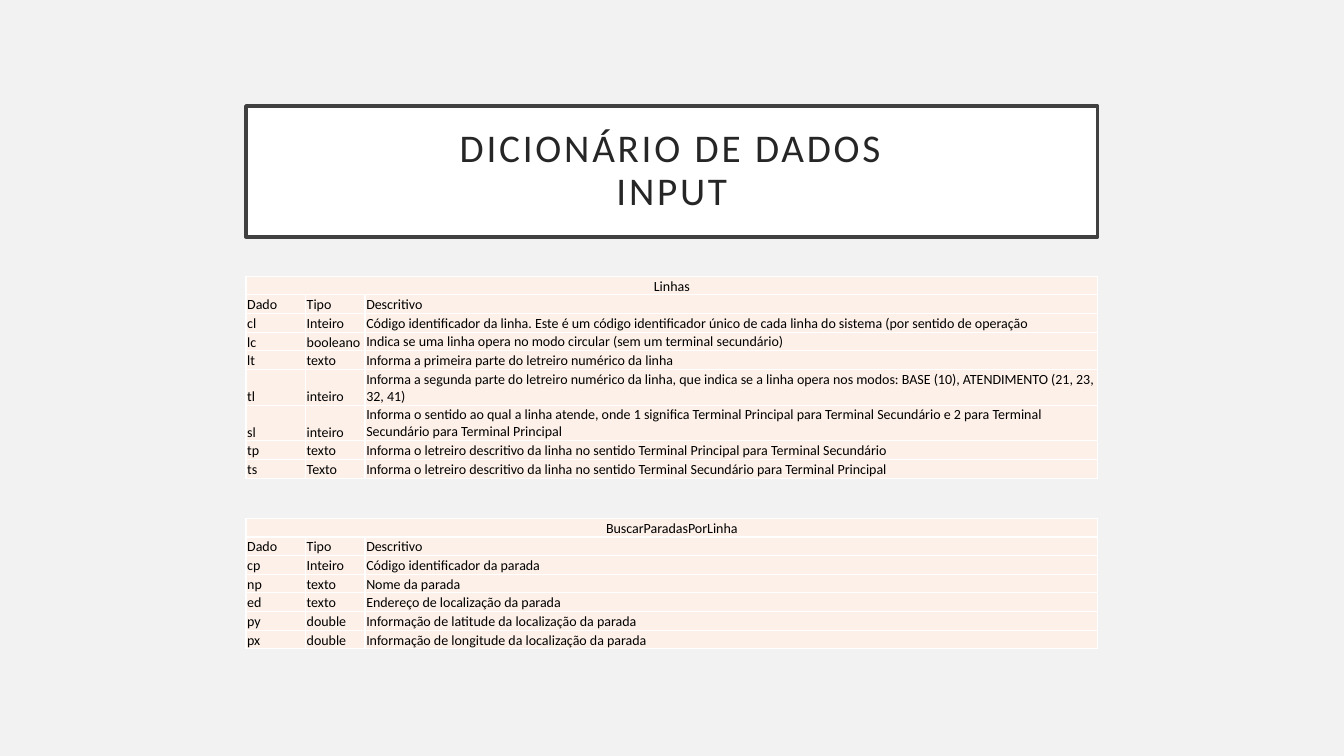
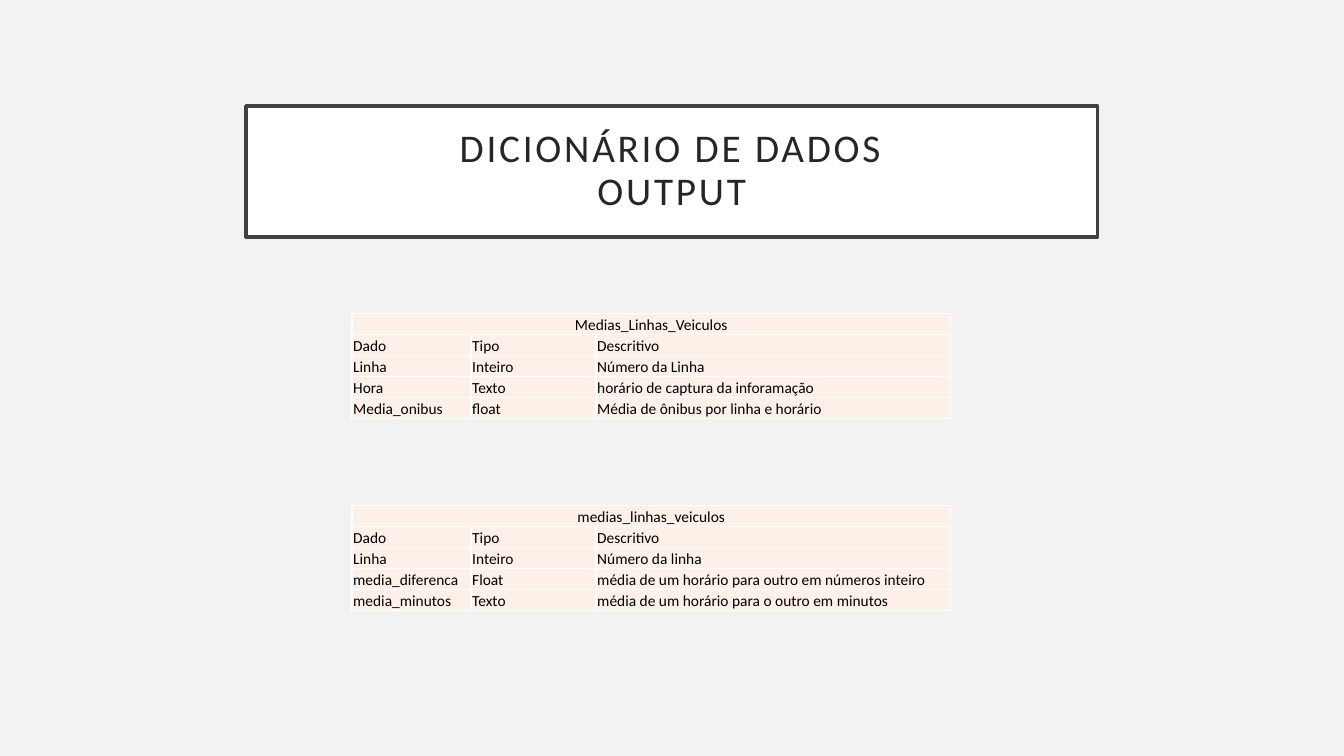
"""Build two data dictionary slides, each with a framed title and two tables."""
from lxml import etree
from pptx import Presentation
from pptx.dml.color import RGBColor
from pptx.enum import text
from pptx.oxml import ns
from pptx.util import Cm, Pt

GREY = RGBColor(0xF2, 0xF2, 0xF2)
WHITE = RGBColor(0xFF, 0xFF, 0xFF)
FRAME = RGBColor(0x40, 0x40, 0x40)
INK = RGBColor(0x26, 0x26, 0x26)
BLACK = RGBColor(0, 0, 0)
PEACH = RGBColor(0xFD, 0xF0, 0xE8)

FONT = "Calibri"
TITLE_BOX = {"left": Cm(6.2), "top": Cm(2.67), "width": Cm(21.46), "height": Cm(3.3)}
TITLE_FRAME = {
    "margin_left": Cm(0.5), "margin_right": Cm(0.5),
    "margin_top": Cm(0.5), "margin_bottom": Cm(0.5),
    "vertical_anchor": text.MSO_ANCHOR.MIDDLE,
    "auto_size": text.MSO_AUTO_SIZE.NONE, "word_wrap": True,
}
TITLE_PARA = {"alignment": text.PP_ALIGN.CENTER, "line_spacing": 0.9}
CELL_FORMAT = {
    "margin_left": Cm(0.03), "margin_right": Cm(0.03),
    "margin_top": Cm(0.03), "margin_bottom": 0,
    "vertical_anchor": text.MSO_ANCHOR.BOTTOM,
}
HEADINGS = ("Dado", "Tipo", "Descritivo")

SLIDES = [
    {
        "title": "INPUT", "left": 6.2, "columns": (1.5, 1.5, 18.46),
        "row": 0.47, "size": 10,
        "tables": [
            {
                "name": "Linhas", "top": 6.96, "tall": {"tl", "sl"},
                "anchor": text.MSO_ANCHOR.MIDDLE,
                "fields": [
                    ("cl", "Inteiro", "Código identificador da linha. Este é um código identificador "
                     "único de cada linha do sistema (por sentido de operação"),
                    ("lc", "booleano", "Indica se uma linha opera no modo circular "
                     "(sem um terminal secundário)"),
                    ("lt", "texto", "Informa a primeira parte do letreiro numérico da linha"),
                    ("tl", "inteiro", "Informa a segunda parte do letreiro numérico da linha, que indica "
                     "se a linha opera nos modos: BASE (10), ATENDIMENTO (21, 23, 32, 41)"),
                    ("sl", "inteiro", "Informa o sentido ao qual a linha atende, onde 1 significa "
                     "Terminal Principal para Terminal Secundário e 2 para Terminal Secundário "
                     "para Terminal Principal"),
                    ("tp", "texto", "Informa o letreiro descritivo da linha no sentido "
                     "Terminal Principal para Terminal Secundário"),
                    ("ts", "Texto", "Informa o letreiro descritivo da linha no sentido "
                     "Terminal Secundário para Terminal Principal"),
                ],
            },
            {
                "name": "BuscarParadasPorLinha", "top": 13.06,
                "fields": [
                    ("cp", "Inteiro", "Código identificador da parada"),
                    ("np", "texto", "Nome da parada"),
                    ("ed", "texto", "Endereço de localização da parada"),
                    ("py", "double", "Informação de latitude da localização da parada"),
                    ("px", "double", "Informação de longitude da localização da parada"),
                ],
            },
        ],
    },
    {
        "title": "OUTPUT", "left": 8.87, "columns": (3, 3.15, 8.94),
        "row": 0.53, "size": 11,
        "tables": [
            {
                "name": "Medias_Linhas_Veiculos", "top": 7.9,
                "fields": [
                    ("Linha", "Inteiro", "Número da Linha"),
                    ("Hora", "Texto", "horário de captura da inforamação"),
                    ("Media_onibus", "float", "Média de ônibus por linha e horário"),
                ],
            },
            {
                "name": "medias_linhas_veiculos", "top": 12.73,
                "fields": [
                    ("Linha", "Inteiro", "Número da linha"),
                    ("media_diferenca", "Float", "média de um horário para outro em números inteiro"),
                    ("media_minutos", "Texto", "média de um horário para o outro em minutos"),
                ],
            },
        ],
    },
]


def apply_format(target, values):
    for name, value in values.items():
        setattr(target, name, value)


def add_borders(cell):
    properties = cell._tc.get_or_add_tcPr()
    for side in ("a:lnL", "a:lnR", "a:lnT", "a:lnB"):
        line = etree.SubElement(properties, ns.qn(side), w=str(Pt(1)))
        fill = etree.SubElement(line, ns.qn("a:solidFill"))
        etree.SubElement(fill, ns.qn("a:srgbClr"), val=str(WHITE))


deck = Presentation()
deck.slide_width, deck.slide_height = Cm(33.87), Cm(19.05)
background = deck.slide_master.background.fill
background.solid()
background.fore_color.rgb = GREY

for content in SLIDES:
    page = deck.slides.add_slide(deck.slide_layouts.get_by_name("Title Only"))
    title = page.shapes.title
    apply_format(title, TITLE_BOX)
    title.fill.solid()
    title.fill.fore_color.rgb = WHITE
    title.line.color.rgb = FRAME
    title.line.width = Pt(2.5)
    apply_format(title.text_frame, TITLE_FRAME)
    para = title.text_frame.paragraphs[0]
    para.text = "DICIONÁRIO DE DADOS\v" + content["title"]
    apply_format(para, TITLE_PARA)
    for span in para.runs:
        apply_format(span.font, {"name": FONT, "size": Pt(28)})
        span.font.color.rgb = INK
        span._r.get_or_add_rPr().set("spc", "200")

    for entry in content["tables"]:
        rows = [(entry["name"], "", ""), HEADINGS, *entry["fields"]]
        heights = [0.9 if row[0] in entry.get("tall", ()) else content["row"] for row in rows]
        table = page.shapes.add_table(
            len(rows), len(HEADINGS), Cm(content["left"]), Cm(entry["top"]),
            Cm(sum(content["columns"])), Cm(sum(heights))).table
        apply_format(table, {"first_row": False, "horz_banding": False})
        for column, width in zip(table.columns, content["columns"]):
            column.width = Cm(width)
        for index, (row, height) in enumerate(zip(rows, heights)):
            table.rows[index].height = Cm(height)
            for cell, words in zip(table.rows[index].cells, row):
                apply_format(cell, CELL_FORMAT)
                add_borders(cell)
                cell.fill.solid()
                cell.fill.fore_color.rgb = PEACH
                para = cell.text_frame.paragraphs[0]
                para.text = words
                apply_format(para.font, {"name": FONT, "size": Pt(content["size"])})
                para.font.color.rgb = BLACK
                for span in para.runs:
                    apply_format(span.font, {"name": FONT, "size": Pt(content["size"])})
                    span.font.color.rgb = BLACK
            if index > 1 and "anchor" in entry:
                table.cell(index, 2).vertical_anchor = entry["anchor"]
        table.cell(0, 0).merge(table.cell(0, 2))
        table.cell(0, 0).text_frame.paragraphs[0].alignment = text.PP_ALIGN.CENTER

deck.save("out.pptx")
